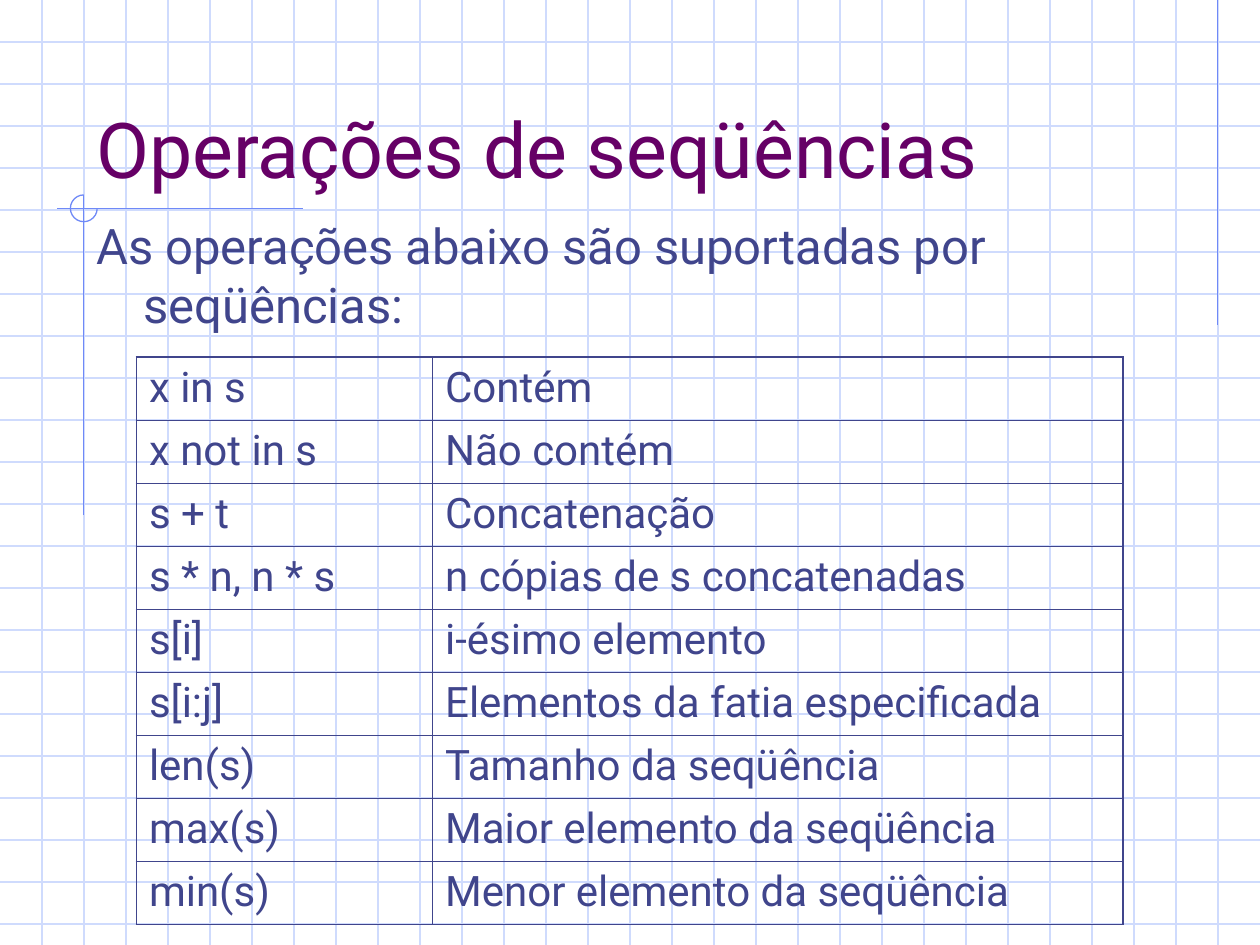
from pptx import Presentation
from pptx.dml.color import RGBColor
from pptx.enum.shapes import MSO_CONNECTOR as Link, MSO_SHAPE as Shape
from pptx.enum.text import MSO_ANCHOR as Anchor
from pptx.oxml.ns import qn
from pptx.util import Cm, Pt
from lxml.etree import SubElement

TITLE = "Operações de seqüências"
INTRO = "As operações abaixo são suportadas por seqüências:"
ROWS = [
    ("x in s", "Contém"),
    ("x not in s", "Não contém"),
    ("s + t", "Concatenação"),
    ("s * n, n * s", "n cópias de s concatenadas"),
    ("s[i]", "i-ésimo elemento"),
    ("s[i:j]", "Elementos da fatia especificada"),
    ("len(s)", "Tamanho da seqüência"),
    ("max(s)", "Maior elemento da seqüência"),
    ("min(s)", "Menor elemento da seqüência"),
]
FONT = "Roboto"
INK, PLUM, GRID, BLUE = "40458C", "660066", "CFDBFD", "6F89F7"
WIDE, HIGH = 25.4, 19.05
STEP = WIDE / 30
THIN, THICK = 0.45, 1.08
COLS = (5.97, 13.92)
TALL = 11.38
ACCENTS = [
    (24.55, 0, 24.55, 6.55),
    (6.1, 4.21, 1.14, 4.21),
    (1.69, 3.93, 1.69, 10.39),
]


def paint(text):
    """Turn a hex string into a colour."""
    return RGBColor.from_string(text)


def style(para, size, color, before=0):
    """Format the runs of a paragraph and the space above it."""
    para.space_before = Pt(before)
    for run in para.runs:
        run.font.name = FONT
        run.font.size = Pt(size)
        run.font.color.rgb = paint(color)


def rule(x1, y1, x2, y2, color):
    """Draw a thin straight line."""
    line = slide.shapes.add_connector(
        Link.STRAIGHT, Cm(x1), Cm(y1), Cm(x2), Cm(y2))
    line.line.color.rgb = paint(color)
    line.line.width = Pt(0.74)
    SubElement(line._element.spPr, qn("a:effectLst"))


def write(text, box, size, color, anchor=Anchor.TOP, before=0):
    """Add a wrapped text box and return its paragraph."""
    frame = slide.shapes.add_textbox(*map(Cm, box)).text_frame
    frame.word_wrap = True
    frame.vertical_anchor = anchor
    frame.text = text
    para = frame.paragraphs[0]
    style(para, size, color, before)
    return para


def edge(cell, side, width):
    """Draw one border of a cell."""
    line = SubElement(cell._tc.get_or_add_tcPr(), qn("a:ln" + side),
                      w=str(Pt(width)))
    fill = SubElement(line, qn("a:solidFill"))
    SubElement(fill, qn("a:srgbClr"), val=INK)


def fill_cell(table, row, col, text):
    """Write one cell, with thick borders on the rim of the table."""
    cell = table.cell(row, col)
    cell.text_frame.text = text
    style(cell.text_frame.paragraphs[0], 24, INK, 6)
    rim = {"L": col == 0, "R": col == len(COLS) - 1,
           "T": row == 0, "B": row == len(ROWS) - 1}
    for side, outer in rim.items():
        edge(cell, side, THICK if outer else THIN)
    cell.fill.background()


deck = Presentation()
deck.slide_width, deck.slide_height = Cm(WIDE), Cm(HIGH)
slide = deck.slides.add_slide(deck.slide_layouts[6])
slide.background.fill.solid()
slide.background.fill.fore_color.rgb = paint("FFFFFF")

for n in range(1, 23):
    rule(0, n * STEP, WIDE, n * STEP, GRID)
for n in range(1, 30):
    rule(n * STEP, 0, n * STEP, HIGH, GRID)
for ends in ACCENTS:
    rule(*ends, BLUE)

arc = slide.shapes.add_shape(Shape.ARC, Cm(1.42), Cm(3.93), Cm(0.54), Cm(0.54))
arc.adjustments[0] = 0
arc.adjustments[1] = 162  # 270 degrees
arc.shadow.inherit = False
arc.fill.background()
arc.line.color.rgb = paint(BLUE)
arc.line.width = Pt(0.74)

write(TITLE, (1.69, 0.85, 21.59, 3.18), 44, PLUM, Anchor.BOTTOM)
intro = write(INTRO, (1.69, 4.23, 22.86, 2.96), 28, INK, before=7)
props = intro._p.get_or_add_pPr()
props.set("marL", str(Cm(0.95)))
props.set("indent", str(Cm(-0.95)))

table = slide.shapes.add_table(
    len(ROWS), len(COLS), Cm(2.75), Cm(7.2), Cm(sum(COLS)), Cm(TALL)).table
table.first_row = table.horz_banding = False
for col, width in zip(table.columns, COLS):
    col.width = Cm(width)
for r, texts in enumerate(ROWS):
    table.rows[r].height = Cm(TALL / len(ROWS))
    for c, text in enumerate(texts):
        fill_cell(table, r, c, text)

deck.save("out.pptx")
